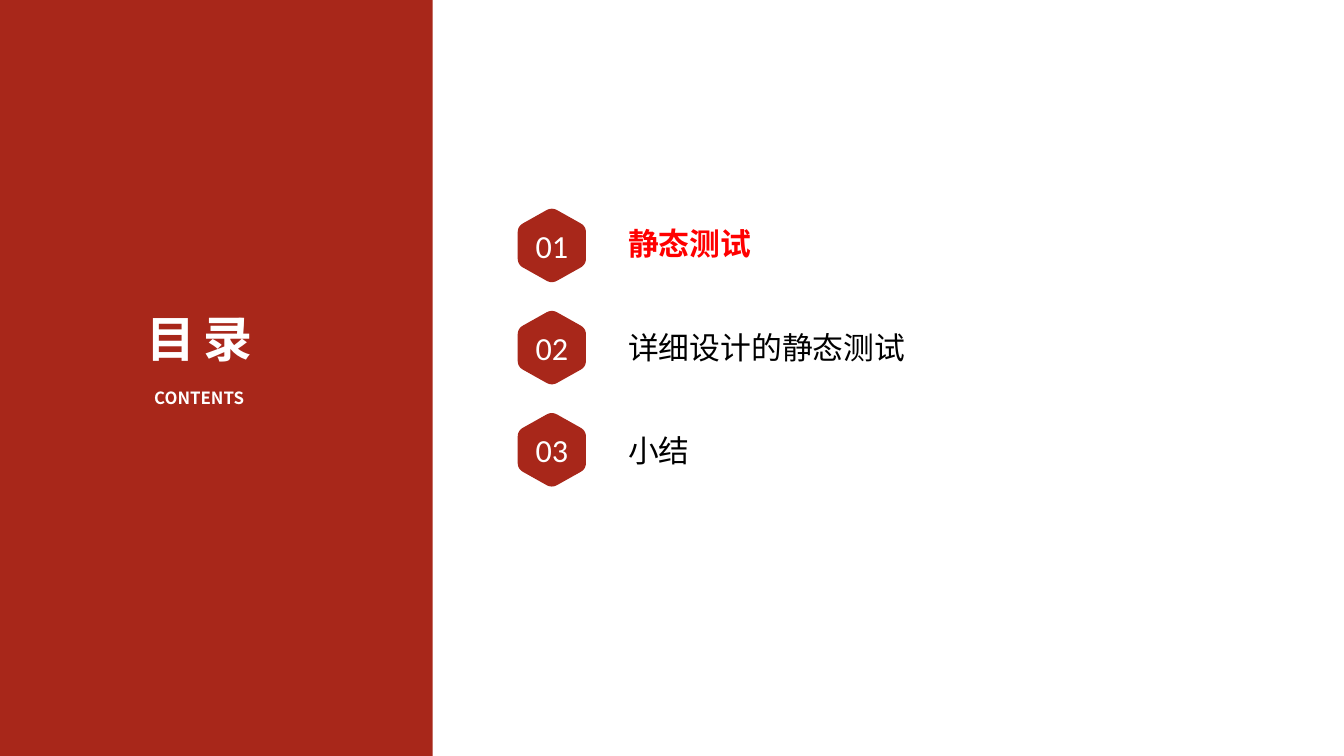
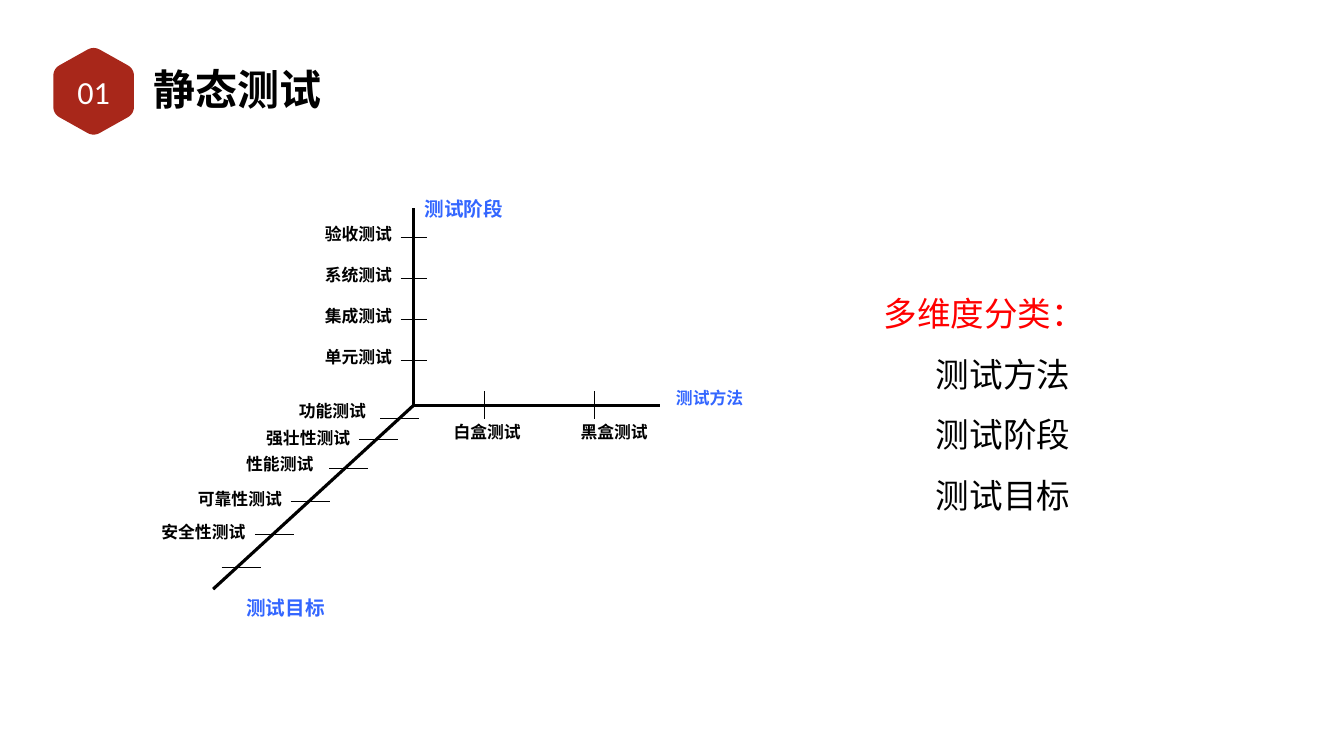
from math import hypot

from lxml.etree import SubElement
from pptx import Presentation
from pptx.dml.color import RGBColor
from pptx.enum.shapes import MSO_CONNECTOR, MSO_SHAPE
from pptx.enum.text import MSO_ANCHOR, PP_ALIGN
from pptx.oxml.ns import qn
from pptx.util import Cm, Pt

WIDE, HIGH = 67.73, 38.1
HAN, LATIN = "Noto Sans CJK SC", "Calibri"
COLORS = {
    "band": "A8271A",
    "white": "FFFFFF",
    "black": "000000",
    "red": "FF0000",
    "blue": "3366FF",
}

TOPICS = ["静态测试", "详细设计的静态测试", "小结"]
CLASSES = ["测试方法", "测试阶段", "测试目标"]

# All axis places are offsets in cm from the point where the axes meet.
STAGES = ["单元测试", "集成测试", "系统测试", "验收测试"]
# label, tick x, label centre x
METHODS = [("白盒测试", 3.58, 3.7), ("黑盒测试", 9.12, 10.1)]
# label, label centre x, label top, tick x, tick y
GOALS = [
    ("功能测试", -4.1, -0.38, -0.72, 0.64),
    ("强壮性测试", -5.32, 1.02, -1.79, 1.73),
    ("性能测试", -6.75, 2.31, -3.29, 3.18),
    ("可靠性测试", -8.76, 4.09, -5.22, 4.83),
    ("安全性测试", -10.6, 5.72, -7.02, 6.53),
    ("", 0, 0, -8.7, 8.18),
]
# name, centre x, top, size
NAMES = [
    ("测试阶段", 2.53, -10.64, 28),
    ("测试方法", 14.91, -1.02, 24),
    ("测试目标", -6.46, 9.5, 28),
]
ENDS = [(0, -9.93), (12.42, 0), (-10.11, 9.27)]


def rgb(name):
    return RGBColor.from_string(COLORS[name])


def paint(shape, color):
    shape.shadow.inherit = False
    shape.fill.solid()
    shape.fill.fore_color.rgb = rgb(color)
    shape.line.fill.background()


def style(para, size, color, bold=False, face=HAN, track=0):
    """Set the paragraph's font; track is extra letter spacing in points."""
    font = para.font
    font.size, font.bold, font.name = Pt(size), bold, face
    font.color.rgb = rgb(color)
    props = para._p.pPr.find(qn("a:defRPr"))
    if track:
        props.set("spc", str(int(track * 100)))
    SubElement(props, qn("a:ea")).set("typeface", face)


def frame(slide, box, pad=(0.13, 0.13), anchor=MSO_ANCHOR.TOP):
    text = slide.shapes.add_textbox(*map(Cm, box)).text_frame
    text.word_wrap = True
    text.vertical_anchor = anchor
    text.margin_left = text.margin_right = Cm(pad[0])
    text.margin_top = text.margin_bottom = Cm(pad[1])
    return text


def write(slide, box, words, size, color, align=PP_ALIGN.CENTER,
          anchor=MSO_ANCHOR.TOP, **font):
    para = frame(slide, box, anchor=anchor).paragraphs[0]
    para.text = words
    para.alignment = align
    style(para, size, color, **font)


def toward(start, end, dist):
    part = dist / hypot(end[0] - start[0], end[1] - start[1])
    return tuple(a + (b - a) * part for a, b in zip(start, end))


def badge(slide, x, y, wide, number):
    """Draw a hexagon with soft corners, centred on x and y, and its number."""
    half, tall = wide / 2, wide * 0.56
    tips = [(0, -tall), (half, -tall / 2), (half, tall / 2),
            (0, tall), (-half, tall / 2), (-half, -tall / 2)]
    steps, cut = 6, wide * 0.09
    points = []
    for i, tip in enumerate(tips):
        first = toward(tip, tips[i - 1], cut)
        last = toward(tip, tips[(i + 1) % 6], cut)
        for step in range(steps + 1):
            t = step / steps
            points.append(tuple(
                Cm(mid + (1 - t) ** 2 * a + 2 * t * (1 - t) * b + t * t * c)
                for mid, a, b, c in zip((x, y), first, tip, last)))
    path = slide.shapes.build_freeform(*points[0])
    path.add_line_segments(points[1:], close=True)
    paint(path.convert_to_shape(), "band")
    write(slide, (x - 2.2, y - 1.35, 4.4, 2.7), f"{number:02}", 46, "white",
          anchor=MSO_ANCHOR.MIDDLE, face=LATIN)


def rule(slide, start, end, weight):
    line = slide.shapes.add_connector(
        MSO_CONNECTOR.STRAIGHT, *map(Cm, (*start, *end)))
    line.line.color.rgb = rgb("black")
    line.line.width = Pt(weight)
    SubElement(line._element.spPr, qn("a:effectLst"))


def panel(slide, box):
    x, y, wide, high = box
    paint(slide.shapes.add_shape(MSO_SHAPE.RECTANGLE, *map(Cm, box)), "band")
    write(slide, (x + 4.75, y + 19.4, 10.57, 2.5), "CONTENTS", 24, "white",
          bold=True)
    write(slide, (x + 2.85, y + 15.44, 14.43, 7.24), "目录", 70, "white",
          bold=True, track=11.7)


def agenda(slide, x, y):
    for i, topic in enumerate(TOPICS):
        now = i == 0
        badge(slide, x + 1.72, y + 1.87 + i * 5.15, 3.44, i + 1)
        write(slide, (x + 5.43, y + 0.69 + i * 5.23, 15.67, 2.2), topic, 44,
              "red" if now else "black", PP_ALIGN.LEFT, bold=now)


def header(slide, x, y, number, title):
    badge(slide, x + 2.03, y + 2.26, 4.06, number)
    write(slide, (x + 4.9, y + 0.66, 15.29, 2.9), title, 60, "black",
          PP_ALIGN.LEFT, MSO_ANCHOR.MIDDLE, bold=True)


def axes(slide, x, y):
    """Draw the three test dimensions, which meet at x and y."""
    def label(words, mid, top, size=24, color="black"):
        high = size * 0.05
        text = frame(slide, (x + mid - 3.5, y + top, 7, high), (0.25, 0.13))
        para = text.paragraphs[0]
        para.text = words
        para.alignment = PP_ALIGN.CENTER
        style(para, size, color, bold=True)

    def tick(mid, level, across=0.0, up=0.0):
        rule(slide, (x + mid - across, y + level - up),
             (x + mid + across, y + level + up), 1)

    for end in ENDS:
        rule(slide, (x, y), (x + end[0], y + end[1]), 4.5)
    for name, mid, top, size in NAMES:
        label(name, mid, top, size, "blue")
    for i, stage in enumerate(STAGES):
        level = -2.26 - i * 2.06
        tick(0, level, across=0.66)
        label(stage, -2.79, level - 0.82)
    for method, at, mid in METHODS:
        tick(at, 0, up=0.69)
        label(method, mid, 0.69)
    for goal, mid, top, at, level in GOALS:
        tick(at, level, across=0.98)
        if goal:
            label(goal, mid, top)


def summary(slide, box):
    text = frame(slide, box, (0.25, 0.13))
    for i, words in enumerate(["多维度分类：", *CLASSES]):
        para = text.add_paragraph() if i else text.paragraphs[0]
        para.text = words
        para.line_spacing = 1.5
        if i:
            para._p.get_or_add_pPr().set("marL", str(Cm(2.65)))
        style(para, 48, "black" if i else "red")


def main():
    deck = Presentation()
    deck.slide_width, deck.slide_height = Cm(WIDE), Cm(HIGH)
    blank = deck.slide_layouts[6]

    slide = deck.slides.add_slide(blank)
    panel(slide, (0, 0, 21.8, HIGH))
    agenda(slide, 26.09, 10.5)

    slide = deck.slides.add_slide(blank)
    header(slide, 2.69, 2.34, 1, TOPICS[0])
    axes(slide, 20.85, 20.42)
    summary(slide, (44.27, 13.64, 15.6, 12.57))

    deck.save("out.pptx")


if __name__ == "__main__":
    main()
